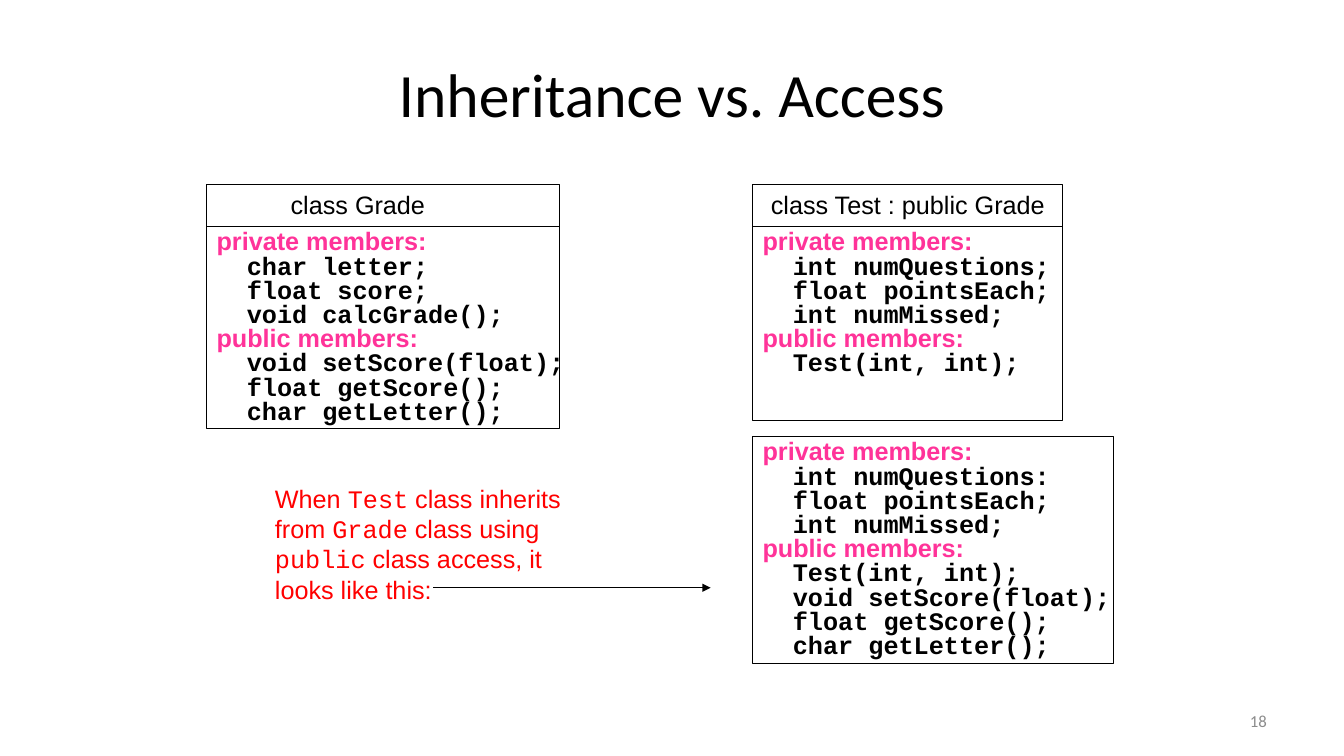
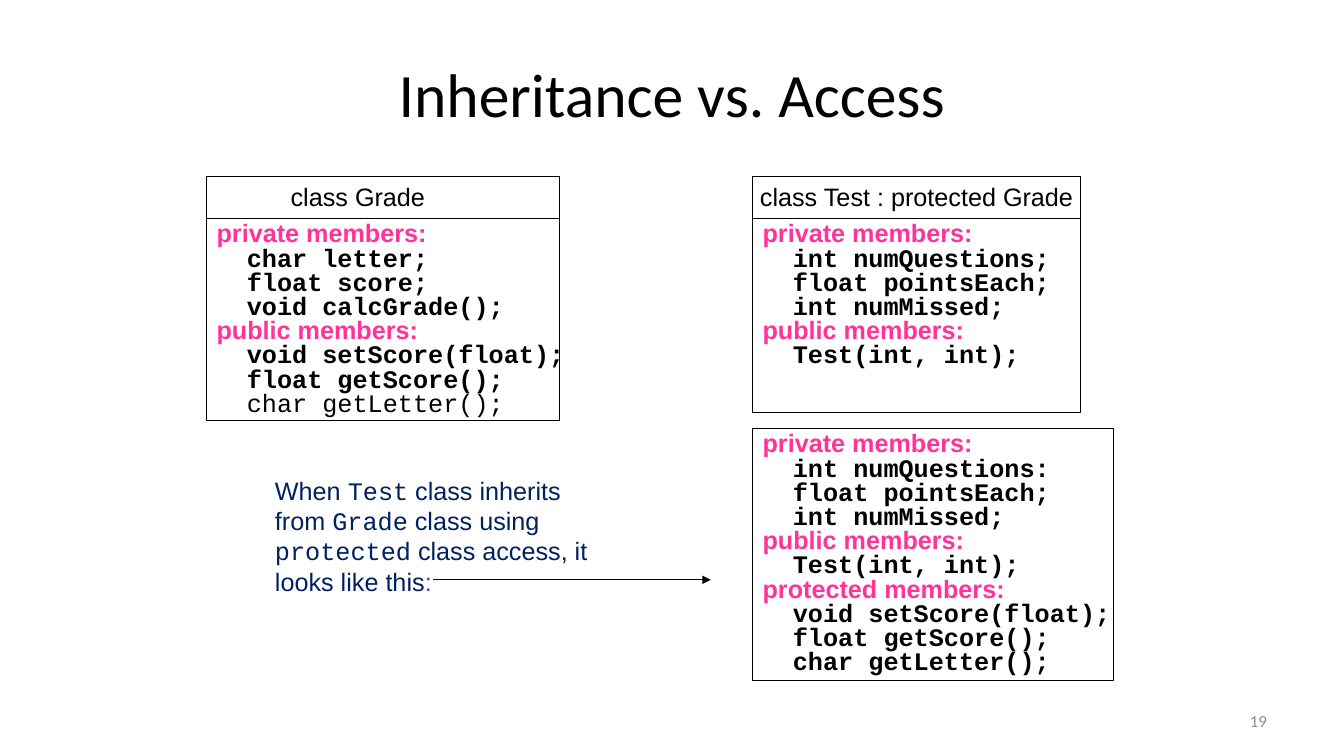
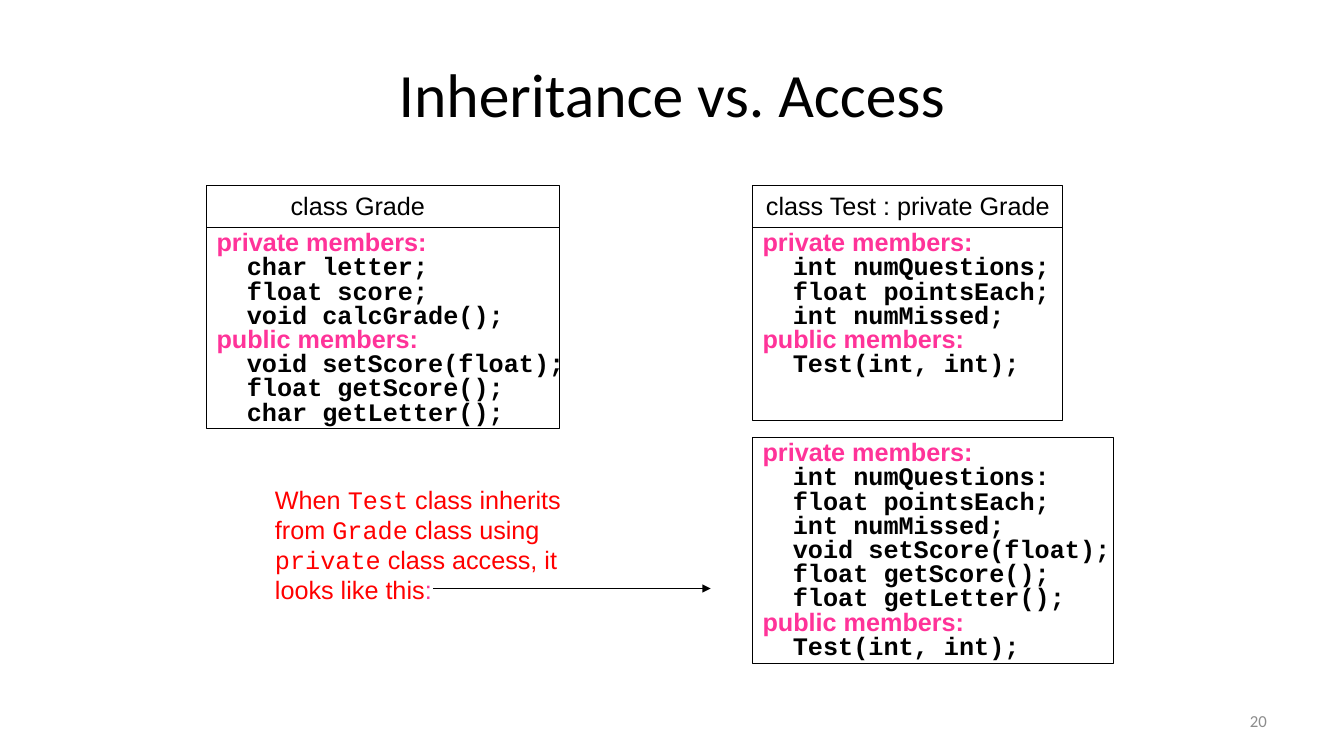
from copy import deepcopy

from pptx import Presentation
from pptx.dml.color import RGBColor
from pptx.enum.shapes import MSO_CONNECTOR as CONN, MSO_SHAPE as SHAPE
from pptx.enum.text import MSO_ANCHOR as ANCHOR, PP_ALIGN as ALIGN
from pptx.oxml.ns import qn
from pptx.util import Cm, Pt
from lxml import etree

# Shared style
BLACK, GREY, PINK, RED = "000000", "8C8C8C", "FF3399", "FF0000"
NAVY, PURPLE = "002060", "7030A0"
SANS, MONO, HEAD = "Arial", "Courier New", "Calibri"
HEADER_H = 1.06
GRADE_X, GRADE_W, GRADE_H = 5.21, 8.89, 5.08
TEST_X, TEST_H = 18.97, 4.88
RESULT_W = 9.09


def style(font, name, size, color, bold=False):
    font.name, font.size, font.bold = name, Pt(size), bold
    font.color.rgb = RGBColor.from_string(color)


def add_box(s, x, y, w, h, lines, framed_w):
    """Outline of width framed_w with lines of text on it; returns the text frame."""
    sp = s.shapes.add_shape(SHAPE.RECTANGLE, Cm(x), Cm(y), Cm(framed_w), Cm(h))
    sp.shadow.inherit = False
    sp.fill.background()
    sp.line.color.rgb = RGBColor.from_string(BLACK)
    sp.line.width = Pt(0.75)
    tf = s.shapes.add_textbox(Cm(x), Cm(y), Cm(w), Cm(h)).text_frame
    tf.word_wrap = True
    tf.text = "\n".join(lines)
    for p in tf.paragraphs:
        if p.text.startswith("class "):
            style(p.font, SANS, 18, BLACK)
            p.alignment = ALIGN.CENTER
            continue
        p.line_spacing = 0.8
        if p.text.endswith("members:"):
            style(p.font, SANS, 18, PINK, True)
        else:
            style(p.font, MONO, 18, BLACK, True)
            p._p.get_or_add_pPr().set("marL", str(Cm(0.76)))
    return tf


# Class members
PRIVATE, PUBLIC, PROTECTED = (f"{a} members:" for a in ("private", "public", "protected"))
INHERITED = ["void setScore(float);", "float getScore();", "char getLetter();"]
GRADE = [PRIVATE, "char letter;", "float score;", "void calcGrade();", PUBLIC, *INHERITED]
DATA = ["float pointsEach;", "int numMissed;"]
CONSTRUCTOR = [PUBLIC, "Test(int, int);"]
TEST = [PRIVATE, "int numQuestions;", *DATA, *CONSTRUCTOR]
RESULT = [PRIVATE, "int numQuestions:", *DATA]

# access, top, Test width, result height, result, note colour, colon colour, last Grade line bold
SLIDES = [
    ("public", 4.65, 7.82, 5.71, RESULT + CONSTRUCTOR + INHERITED, RED, RED, True),
    ("protected", 4.45, 8.26, 6.35, RESULT + CONSTRUCTOR + [PROTECTED] + INHERITED,
     NAVY, PURPLE, False),
    ("private", 4.67, 7.82, 5.71,
     RESULT + INHERITED[:2] + ["float getLetter();"] + CONSTRUCTOR, RED, PINK, True),
]

prs = Presentation()
prs.slide_width, prs.slide_height = Cm(33.87), Cm(19.05)

# Title and slide number places, set on the layout
layout = prs.slide_layouts[5]
places = {"title": (1.7, 0.76, 30.48, 3.18), "sldNum": (24.28, 17.65, 7.9, 1.02)}
for ph in layout.placeholders:
    kind = ph.element.find(".//" + qn("p:ph")).get("type")
    if kind in places:
        ph.left, ph.top, ph.width, ph.height = map(Cm, places[kind])
    if kind == "sldNum":
        number_ph = ph

for number, (access, top, test_w, result_h, result, color, colon, bold) in enumerate(SLIDES, 18):
    s = prs.slides.add_slide(layout)

    # Title
    s.shapes.title.text = "Inheritance vs. Access"
    p = s.shapes.title.text_frame.paragraphs[0]
    p.alignment = ALIGN.CENTER
    style(p.font, HEAD, 44, BLACK)

    # Slide number
    s.shapes.element.append(deepcopy(number_ph.element))
    tf = s.placeholders[number_ph.placeholder_format.idx].text_frame
    tf.text = str(number)
    tf.vertical_anchor = ANCHOR.MIDDLE
    p = tf.paragraphs[0]
    p.alignment = ALIGN.RIGHT
    style(p.font, HEAD, 12, GREY)

    # Base class
    body = top + HEADER_H
    add_box(s, GRADE_X, top, 7.62, HEADER_H, ["class Grade"], GRADE_W)
    tf = add_box(s, GRADE_X, body, 9.4, GRADE_H, GRADE, GRADE_W)
    tf.paragraphs[-1].font.bold = bold

    # Derived class
    tf = add_box(s, TEST_X, top, test_w, HEADER_H, [f"class Test : {access} Grade"], test_w)
    tf.margin_left = tf.margin_right = 0
    add_box(s, TEST_X, body, test_w, TEST_H, TEST, test_w)

    # Result of the inheritance
    add_box(s, TEST_X, top + 6.35, 9.73, result_h, result, RESULT_W)

    # Note: code words stand in the monospaced font
    tf = s.shapes.add_textbox(Cm(6.68), Cm(top + 7.4), Cm(8.69), Cm(3.3)).text_frame
    tf.word_wrap = True
    note = [
        [("When ", SANS), ("Test", MONO), (" class inherits", SANS)],
        [("from ", SANS), ("Grade", MONO), (" class using", SANS)],
        [(access, MONO), (" class access, it looks like this", SANS), (":", SANS)],
    ]
    for i, line in enumerate(note):
        p = tf.add_paragraph() if i else tf.paragraphs[0]
        for text, name in line:
            r = p.add_run()
            r.text = text
            style(r.font, name, 18, colon if text == ":" else color)

    # Arrow from the note to the result
    y = Cm(top + 10.16)
    line = s.shapes.add_connector(CONN.STRAIGHT, Cm(10.92), y, Cm(17.91), y)
    line.line.color.rgb = RGBColor.from_string(BLACK)
    line.line.width = Pt(0.75)
    etree.SubElement(line.line._get_or_add_ln(), qn("a:tailEnd"), type="triangle")
    etree.SubElement(line.element.spPr, qn("a:effectLst"))

prs.save("out.pptx")
